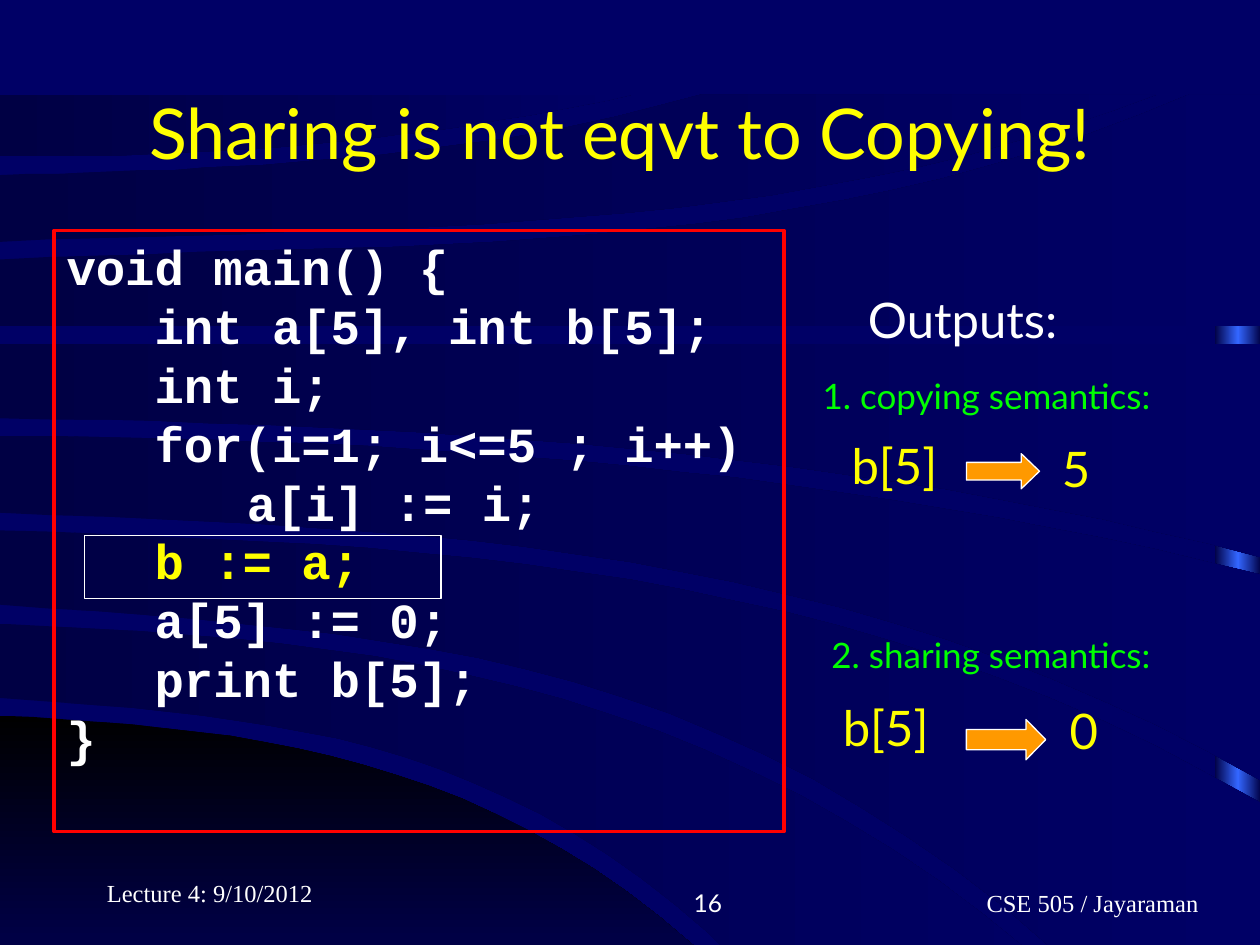
from copy import deepcopy
from math import prod
from pptx import Presentation
from pptx.dml.color import RGBColor
from pptx.enum.shapes import MSO_SHAPE
from pptx.enum.text import MSO_ANCHOR, PP_ALIGN
from pptx.util import Inches, Pt

NAVY = RGBColor(0x00, 0x00, 0x66)
DARK = RGBColor(0x00, 0x00, 0x44)
BLUE = RGBColor(0x33, 0x66, 0xFF)
BLACK = RGBColor(0x00, 0x00, 0x00)
WHITE = RGBColor(0xFF, 0xFF, 0xFF)
YELLOW = RGBColor(0xFF, 0xFF, 0x00)
GREEN = RGBColor(0x00, 0xFF, 0x00)
ORANGE = RGBColor(0xFF, 0x99, 0x00)
RED = RGBColor(0xFF, 0x00, 0x00)
SANS, SERIF, MONO = "Lato", "Times New Roman", "Courier New"

# Background outlines: edges in order, four knots make a smooth edge
CORNER = [[(0, 5.68), (1.94, 5.86), (4.26, 6.63), (6.29, 8.27)], [(0, 8.27)]]
BANDS = [
    [[(0, 4.95), (2.95, 5.21), (6.07, 6.17), (8.94, 8.25)],
     [(6.43, 8.25), (4.55, 6.61), (2.22, 5.77), (0, 5.54)]],
    [[(0, 4.21), (3.44, 4.4), (6.94, 5.05), (10, 6.37)], [(10, 8.25)],
     [(9.1, 8.25), (6.37, 6.14), (3.12, 5.1), (0, 4.8)]],
    [[(0, 3.46), (3.51, 3.58), (6.63, 3.9), (10, 4.56)],
     [(10, 6.19), (6.84, 4.87), (3.52, 4.27), (0, 4.07)]],
    [[(0, 2.73), (10, 2.73)],
     [(10, 4.42), (6.63, 3.75), (3.33, 3.43), (0, 3.32)]],
    [[(0, 2.06), (3.3, 1.95), (6.85, 1.56), (9.44, 0.75)],
     [(10, 0.75)], [(10, 2.59), (0, 2.59)]],
    [[(0, 1.39), (2.34, 1.29), (4.17, 1.07), (5.57, 0.75)],
     [(9.18, 0.75), (6.84, 1.42), (3.42, 1.8), (0, 1.92)]],
    [[(0, 0.75)],
     [(5.02, 0.75), (3.47, 1.03), (1.74, 1.2), (0, 1.24)]]]
STEPS = 24

# Code lines, each a list of (text, colour) runs
CODE = [
    [("void main() {", WHITE)],
    [("   int a[5], int b[5];", WHITE)],
    [("   int i;", WHITE)],
    [("   for(i=1; i<=5 ; i++)", WHITE)],
    [(" \t    a[i] := i;", WHITE)],
    [("   ", WHITE), ("b := a;", YELLOW)],
    [("   a[5] := 0;", WHITE)],
    [("   print b[5];", WHITE)],
    [("}", WHITE)]]

# Labels: text, box, size, font, colour, alignment, anchor, left inset
LEFT, MID, RIGHT = PP_ALIGN.LEFT, PP_ALIGN.CENTER, PP_ALIGN.RIGHT
TOP, CORE, BASE = MSO_ANCHOR.TOP, MSO_ANCHOR.MIDDLE, MSO_ANCHOR.BOTTOM
LABELS = [
    ("Sharing is not eqvt to Copying!", (0.67, 0.42, 8.5, 1.25), 40, SANS, YELLOW, MID, CORE),
    ("Outputs:", (6.79, 2.25, 1.79, 0.57), 28, SANS, WHITE),
    ("1. copying semantics:", (6.43, 2.92, 3, 0.44), 20, SANS, GREEN),
    ("2. sharing semantics:", (6.5, 4.98, 2.83, 0.77), 20, SANS, GREEN),
    ("Lecture 4: 9/10/2012", (0.75, 6.75, 2.08, 0.5), 14, SERIF, WHITE, LEFT, BASE),
    ("16", (3.75, 6.83, 2.08, 0.5), 14, SANS, WHITE, RIGHT, BASE),
    ("CSE 505 / Jayaraman", (6.58, 6.83, 3.17, 0.5), 14, SERIF, WHITE, LEFT, BASE, 1.25)]

# Results: name spot, arrow box, arrow head ratio, value, value spot
RESULTS = [
    ((6.66, 3.41), (7.67, 3.6, 0.58, 0.28), 0.52, "5", (8.33, 3.43)),
    ((6.59, 5.49), (7.67, 5.71, 0.63, 0.32), 0.49, "0", (8.39, 5.51))]


def shade(shape, colors, turn=0):
    fill = shape.fill
    fill.gradient()
    fill.gradient_angle = turn
    first = fill.gradient_stops[0]._gs
    for _ in colors[2:]:
        first.addnext(deepcopy(first))
    for i, (stop, color) in enumerate(zip(fill.gradient_stops, colors)):
        stop.color.rgb = color
        stop.position = i / (len(colors) - 1)
    shape.line.fill.background()
    shape.shadow.inherit = False


def smooth(knots):
    """Sample the polynomial that passes through the knots."""
    if len(knots) < 3:
        return knots
    start, end = knots[0][0], knots[-1][0]
    xs = [start + (end - start) * i / STEPS for i in range(STEPS + 1)]
    return [(x, sum(b * prod((x - c) / (a - c) for c, _ in knots if c != a)
                    for a, b in knots)) for x in xs]


def curve(shapes, edges, colors, turn=0):
    points = [(x * 100, y * 100) for edge in edges for x, y in smooth(edge)]
    pen = shapes.build_freeform(*points[0], scale=Inches(0.01))
    pen.add_line_segments(points[1:], close=True)
    shade(pen.convert_to_shape(), colors, turn)


def block(shapes, kind, box, line, width, fill=None):
    shape = shapes.add_shape(kind, *map(Inches, box))
    shape.shadow.inherit = False
    if fill is None:
        shape.fill.background()
    else:
        shape.fill.solid()
        shape.fill.fore_color.rgb = fill
    shape.line.color.rgb = line
    shape.line.width = Pt(width)
    return shape


def write(para, text, size, face, color, bold=False):
    run = para.add_run()
    run.text = text
    font = run.font
    font.size, font.name, font.bold = Pt(size), face, bold
    font.color.rgb = color


def label(shapes, text, box, size, face, color, align=LEFT, anchor=TOP, inset=0.1, wrap=True):
    frame = shapes.add_textbox(*map(Inches, box)).text_frame
    frame.word_wrap = wrap
    frame.vertical_anchor = anchor
    frame.margin_left = Inches(inset)
    para = frame.paragraphs[0]
    para.alignment = align
    write(para, text, size, face, color)


deck = Presentation()
deck.slide_width, deck.slide_height = Inches(10), Inches(7.5)
slide = deck.slides.add_slide(deck.slide_layouts[6])
shapes = slide.shapes

# Background
slide.background.fill.solid()
slide.background.fill.fore_color.rgb = NAVY
back = shapes.add_group_shape().shapes
strip = back.add_shape(MSO_SHAPE.RECTANGLE, *map(Inches, (9.64, 0.77, 0.37, 7.5)))
shade(strip, [DARK, BLUE, DARK])
curve(back, CORNER, [BLACK, NAVY], 270)
for band in BANDS:
    curve(back, band, [DARK, NAVY])

# Code panel
panel = block(shapes, MSO_SHAPE.RECTANGLE, (0.43, 1.83, 5.79, 4.77), RED, 2.25)
frame = panel.text_frame
frame.word_wrap = True
frame.vertical_anchor = TOP
for i, runs in enumerate(CODE):
    para = frame.add_paragraph() if i else frame.paragraphs[0]
    para.alignment = LEFT
    for text, color in runs:
        write(para, text, 28, MONO, color, True)
block(shapes, MSO_SHAPE.RECTANGLE, (0.67, 4.25, 2.83, 0.5), WHITE, 0.75)

# Title, headings and footer
for item in LABELS:
    label(shapes, *item)

# Output of each semantics
for spot, box, head, value, end in RESULTS:
    group = shapes.add_group_shape().shapes
    label(group, "b[5]", (*spot, 0.91, 0.57), 28, SANS, YELLOW, wrap=False)
    arrow = block(group, MSO_SHAPE.RIGHT_ARROW, box, WHITE, 0.75, ORANGE)
    arrow.adjustments[1] = head
    label(group, value, (*end, 0.42, 0.57), 28, SANS, YELLOW, wrap=False)

deck.save("out.pptx")
